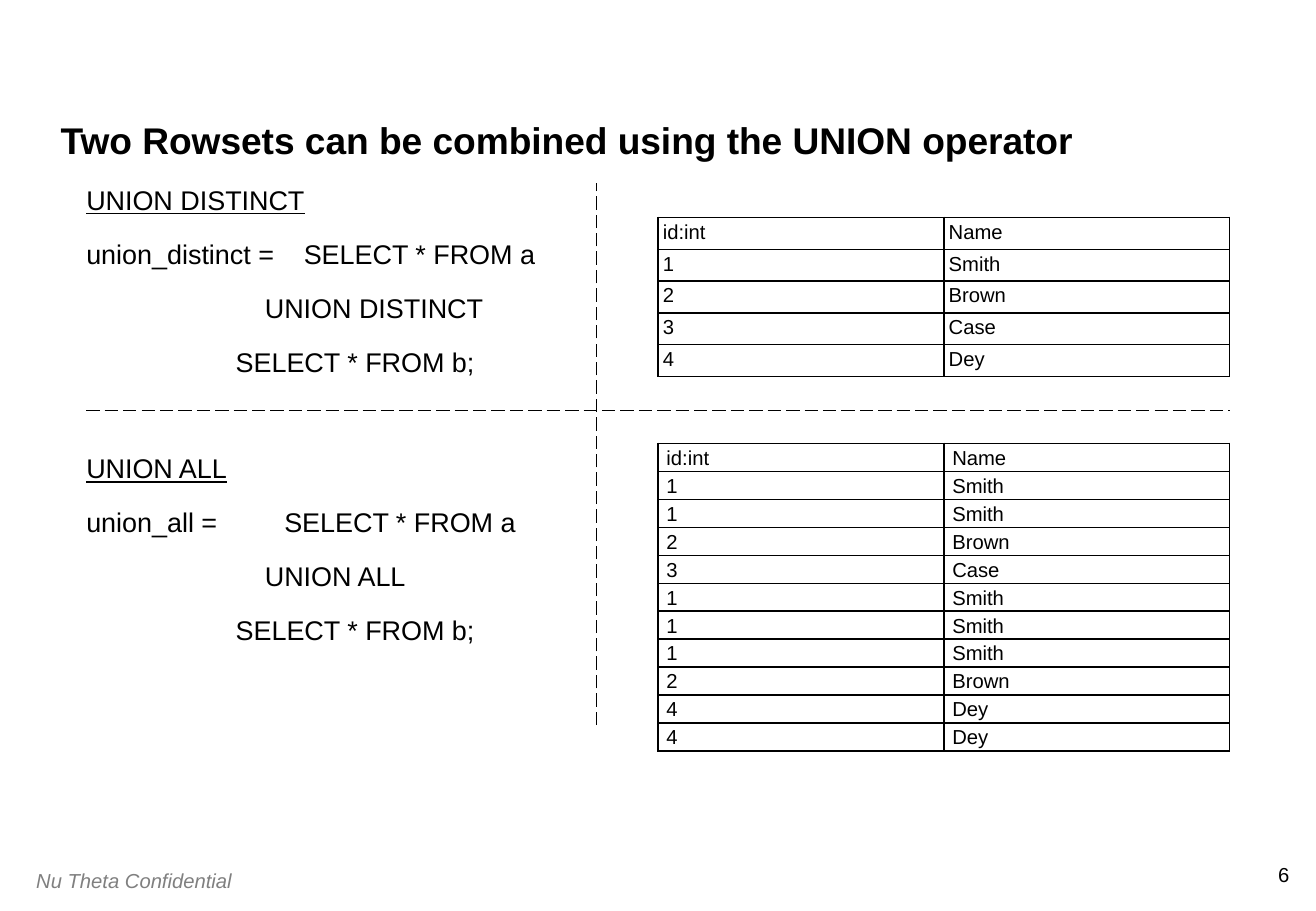
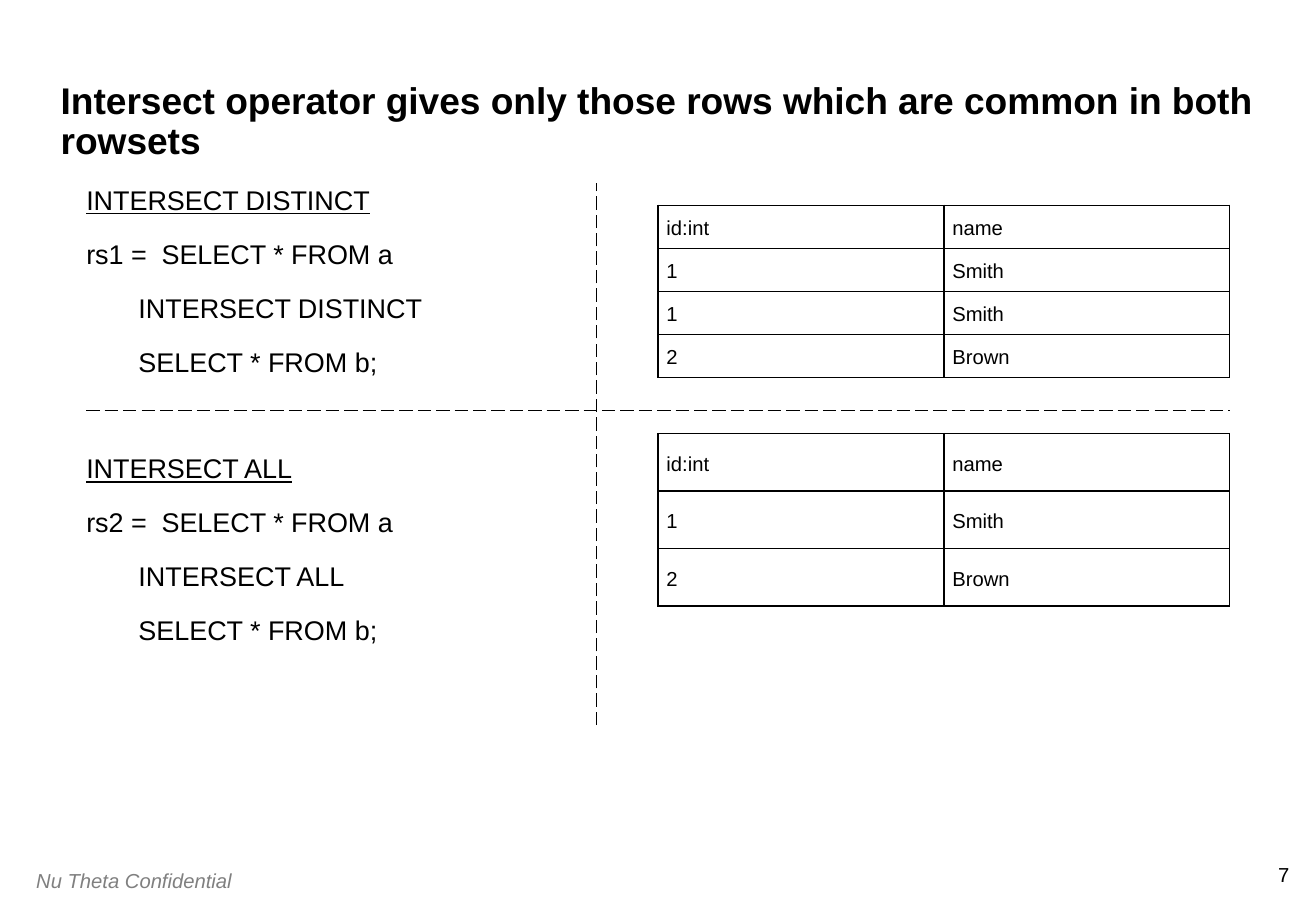
from lxml import etree
from pptx import Presentation
from pptx.dml.color import RGBColor
from pptx.enum.dml import MSO_LINE
from pptx.enum.shapes import MSO_CONNECTOR
from pptx.enum.text import MSO_ANCHOR, PP_ALIGN
from pptx.oxml.ns import qn
from pptx.util import Inches, Pt

BLACK = RGBColor(0, 0, 0)
GRAY = RGBColor(128, 128, 128)
FONT = "Arial"
TOP, MIDDLE, BOTTOM = MSO_ANCHOR.TOP, MSO_ANCHOR.MIDDLE, MSO_ANCHOR.BOTTOM
LEFT, RIGHT = PP_ALIGN.LEFT, PP_ALIGN.RIGHT
LONG_DASH = MSO_LINE.LONG_DASH
STRAIGHT = MSO_CONNECTOR.STRAIGHT

WIDTH, HEIGHT = Inches(10.83), Inches(7.5)
TITLE_MARGIN = Inches(0.5)
MARGIN = Inches(0.71)
COLUMN = (WIDTH - 2 * MARGIN) // 2
TABLE_LEFT = MARGIN + COLUMN
BODY_TOP, BODY_BOTTOM = Inches(1.51), Inches(5.97)
DIVIDER_X, DIVIDER_Y = Inches(4.91), Inches(3.38)
FOOTER_TOP = Inches(7.1)
FIRST_NUMBER = 6
LINE_GAP = Pt(12.8)
SECTION_GAP = Pt(44)

SLIDES = [
    {
        "title": "Two Rowsets can be combined using the UNION operator",
        "indents": (1.47, 1.23),
        "anchor": TOP,
        "sections": [
            {"operator": "UNION DISTINCT", "variable": "union_distinct =", "tab": 1.79,
             "top": 1.79, "height": 1.31, "inset": 0.04,
             "rows": [("id:int", "Name"), ("1", "Smith"), ("2", "Brown"),
                      ("3", "Case"), ("4", "Dey")]},
            {"operator": "UNION ALL", "variable": "union_all =", "tab": 1.63,
             "top": 3.65, "height": 2.36, "inset": 0.07,
             "rows": [("id:int", "Name"), ("1", "Smith"), ("1", "Smith"),
                      ("2", "Brown"), ("3", "Case"), ("1", "Smith"),
                      ("1", "Smith"), ("1", "Smith"), ("2", "Brown"),
                      ("4", "Dey"), ("4", "Dey")]},
        ],
    },
    {
        "title": "Intersect operator gives only those rows which are common in both rowsets",
        "indents": (0.43, 0.43),
        "anchor": MIDDLE,
        "sections": [
            {"operator": "INTERSECT DISTINCT", "variable": "rs1 =", "tab": 0.62,
             "top": 1.69, "height": 1.42, "inset": 0.07,
             "rows": [("id:int", "name"), ("1", "Smith"), ("1", "Smith"),
                      ("2", "Brown")]},
            {"operator": "INTERSECT ALL", "variable": "rs2 =", "tab": 0.62,
             "top": 3.57, "height": 1.42, "inset": 0.07,
             "rows": [("id:int", "name"), ("1", "Smith"), ("2", "Brown")]},
        ],
    },
]


def format_font(paragraph, size, color=BLACK):
    for run in paragraph.runs:
        run.font.name = FONT
        run.font.size = Pt(size)
        run.font.color.rgb = color


def add_text(slide, text, left, top, width, height, size, color=BLACK, inset=0):
    shape = slide.shapes.add_textbox(left, top, width, height)
    frame = shape.text_frame
    frame.word_wrap = True
    frame.margin_left = frame.margin_right = Inches(inset)
    frame.margin_top = frame.margin_bottom = Inches(inset / 2)
    frame.text = text
    for paragraph in frame.paragraphs:
        format_font(paragraph, size, color)
    return frame


presentation = Presentation()
presentation.slide_width, presentation.slide_height = WIDTH, HEIGHT
blank_layout = presentation.slide_layouts[6]

for number, content in enumerate(SLIDES, FIRST_NUMBER):
    slide = presentation.slides.add_slide(blank_layout)

    page = add_text(slide, str(number), Inches(10.4), FOOTER_TOP,
                    Inches(0.21), Inches(0.2), 12)
    page.word_wrap = False
    page.paragraphs[0].alignment = RIGHT

    footer = add_text(slide, "Nu Theta Confidential", Inches(0.2), FOOTER_TOP,
                      Inches(2), Inches(0.3), 12, GRAY, 0.1)
    footer.paragraphs[0].runs[0].font.italic = True

    title = add_text(slide, content["title"], TITLE_MARGIN, Inches(0.42),
                     WIDTH - 2 * TITLE_MARGIN, Inches(0.92), 22)
    title.vertical_anchor = BOTTOM
    title.paragraphs[0].line_spacing = 0.9
    title.paragraphs[0].runs[0].font.bold = True

    lines = []
    for section in content["sections"]:
        operator = section["operator"]
        lines += [operator, section["variable"] + "\tSELECT * FROM a",
                  operator, "SELECT * FROM b;"]
    body = add_text(slide, "\n".join(lines), MARGIN, BODY_TOP, COLUMN, Inches(4.58), 16)
    for index, paragraph in enumerate(body.paragraphs):
        section_index, line = divmod(index, 4)
        paragraph.space_before = LINE_GAP if index else Pt(0)
        properties = paragraph._p.get_or_add_pPr()
        if line == 0:
            paragraph.runs[0].font.underline = True
            if section_index:
                paragraph.space_before = SECTION_GAP
        elif line == 1:
            tabs = etree.SubElement(properties, qn("a:tabLst"))
            position = Inches(content["sections"][section_index]["tab"])
            etree.SubElement(tabs, qn("a:tab"), pos=str(position), algn="l")
        else:
            properties.set("marL", str(Inches(content["indents"][line - 2])))
            properties.set("indent", "0")

    for section in content["sections"]:
        rows = section["rows"]
        table = slide.shapes.add_table(len(rows), 2, TABLE_LEFT, Inches(section["top"]),
                                       COLUMN, Inches(section["height"])).table
        table.first_row = table.horz_banding = False
        for row_index, values in enumerate(rows):
            for column_index, value in enumerate(values):
                cell = table.cell(row_index, column_index)
                cell.text = value
                cell.vertical_anchor = content["anchor"]
                cell.margin_left = cell.margin_right = Inches(section["inset"])
                cell.margin_top = cell.margin_bottom = 0
                paragraph = cell.text_frame.paragraphs[0]
                paragraph.alignment = LEFT
                paragraph.line_spacing = 1.15
                format_font(paragraph, 12)
                properties = cell._tc.get_or_add_tcPr()
                for side in ("lnL", "lnR", "lnT", "lnB"):
                    border = etree.SubElement(properties, qn("a:" + side), w=str(Pt(1)))
                    fill = etree.SubElement(border, qn("a:solidFill"))
                    etree.SubElement(fill, qn("a:srgbClr"), val=str(BLACK))
                cell.fill.background()

    for ends in ((MARGIN, DIVIDER_Y, WIDTH - MARGIN, DIVIDER_Y),
                 (DIVIDER_X, BODY_BOTTOM, DIVIDER_X, BODY_TOP)):
        divider = slide.shapes.add_connector(STRAIGHT, *ends)
        divider.line.color.rgb = BLACK
        divider.line.width = Pt(1)
        divider.line.dash_style = LONG_DASH
        etree.SubElement(divider._element.spPr, qn("a:effectLst"))

presentation.save("out.pptx")
